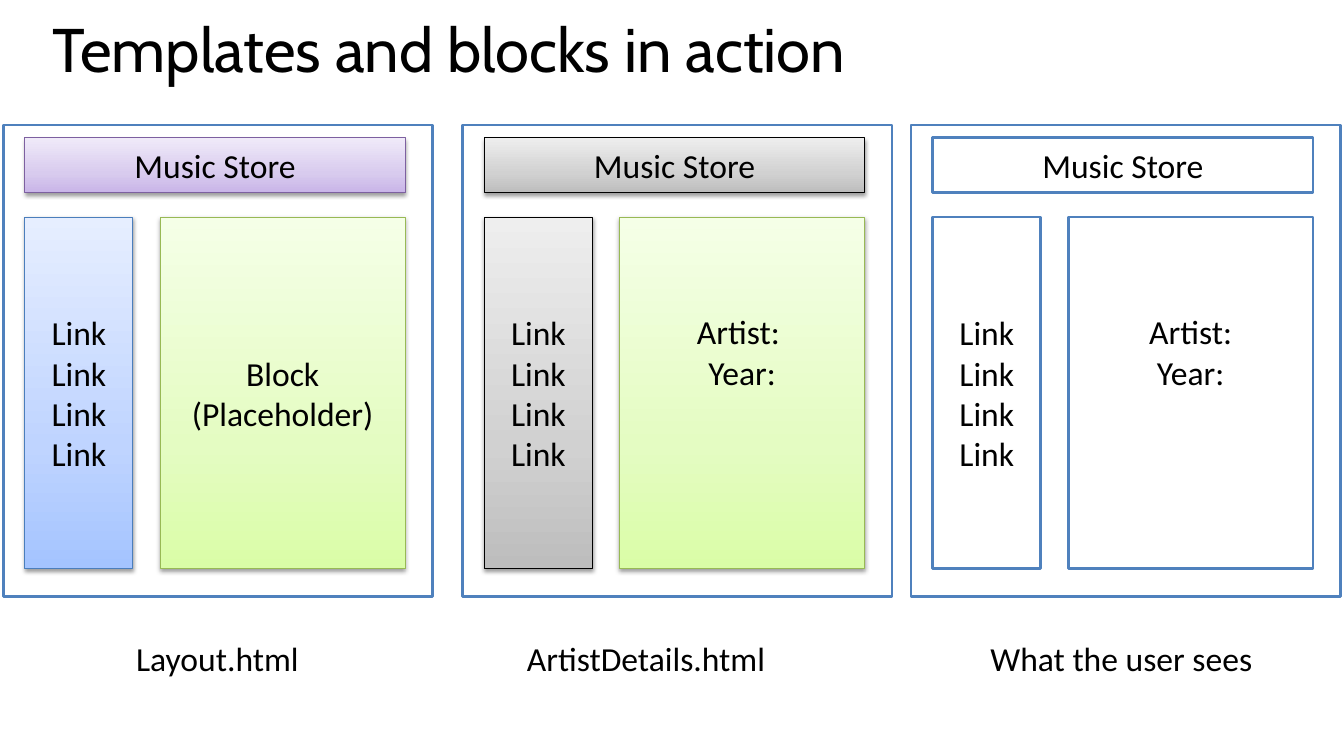
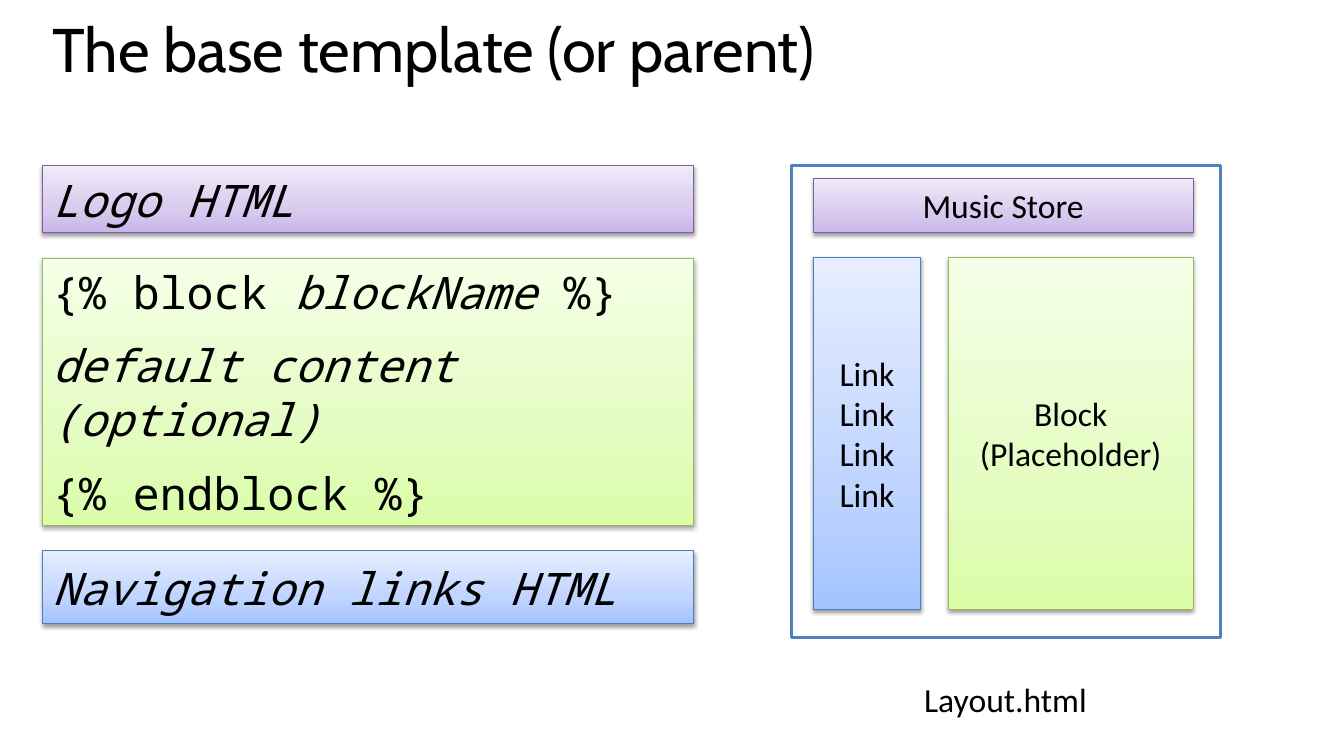
"""Build two slides about page templates and their blocks."""
import dataclasses

import lxml.etree
import pptx
import pptx.dml.color
import pptx.enum.shapes
import pptx.enum.text
import pptx.oxml.ns
import pptx.util

Cm = pptx.util.Cm
Pt = pptx.util.Pt
RGB = pptx.dml.color.RGBColor.from_string
qn = pptx.oxml.ns.qn
ALIGN = pptx.enum.text.PP_ALIGN


@dataclasses.dataclass(frozen=True)
class Look:
    """Line colour and width of a box, with its fill stops from bottom to top."""
    line: str
    width: float
    stops: tuple = ()


@dataclasses.dataclass(frozen=True)
class Theme:
    """Colours, fonts and sizes that the slides share."""
    ink: str = "000000"
    paper: str = "FFFFFF"
    title_font: str = "Cabin"
    body_font: str = "Calibri"
    code_font: str = "Noto Sans Mono"
    title_size: int = 44
    body_size: int = 24
    code_size: int = 32
    plain: Look = Look("4F81BD", 2)
    purple: Look = Look("7D60A0", 0.75, ("C9B5E8", "D8CBEE", "F0EAF9"))
    blue: Look = Look("4B7EBC", 0.75, ("A4C4FF", "BFD4FF", "E6EEFF"))
    green: Look = Look("98B955", 0.75, ("DAFDA7", "E4FCC2", "F5FFE7"))
    gray: Look = Look("000000", 0.75, ("BDBDBD", "D1D1D1", "EEEEEE"))


THEME = Theme()
GAP = 0.64
LINKS = ("Link",) * 4
PLACEHOLDER = ("Block", "(Placeholder)")
ARTIST = ("Artist:", "Year:")
TWO_LINES = 2.07
LAYOUT_CAPTION = ("Layout.html", 3.1, 4.65)


def add_color(parent, color, alpha=None):
    """Append an sRGB colour, optionally transparent, to an XML element."""
    clr = lxml.etree.SubElement(parent, qn("a:srgbClr"), val=color)
    if alpha is not None:
        lxml.etree.SubElement(clr, qn("a:alpha"), val=str(alpha * 1000))


def set_gradient(s, stops):
    """Fill a shape with a three-stop gradient that runs upwards."""
    s.fill.gradient()
    s.fill.gradient_angle = 90
    stop_list = s.element.spPr.find(".//" + qn("a:gsLst"))
    for old in list(stop_list):
        stop_list.remove(old)
    for pos, color in zip((0, 35, 100), stops):
        gs = lxml.etree.SubElement(stop_list, qn("a:gs"), pos=str(pos * 1000))
        add_color(gs, color)


def set_shadow(s):
    """Give a shape a soft shadow straight below it."""
    effects = s.element.spPr.find(qn("a:effectLst"))
    shadow = lxml.etree.SubElement(
        effects, qn("a:outerShdw"), blurRad=str(Pt(3.1)), dist=str(Pt(1.6)),
        dir="5400000", rotWithShape="0")
    add_color(shadow, THEME.ink, 38)


def style_paragraph(p, font, size, align=ALIGN.LEFT):
    """Set the font, colour and alignment of a paragraph."""
    p.font.name = font
    p.font.size = Pt(size)
    p.font.color.rgb = RGB(THEME.ink)
    p.alignment = align


def next_paragraph(tf, index):
    """Return the first paragraph of a frame, or a new one after it."""
    return tf.add_paragraph() if index else tf.paragraphs[0]


def add_box(slide, left, top, width, height, look):
    """Draw a rectangle in one of the theme's looks."""
    s = slide.shapes.add_shape(
        pptx.enum.shapes.MSO_SHAPE.RECTANGLE,
        Cm(left), Cm(top), Cm(width), Cm(height))
    s.shadow.inherit = False
    s.line.color.rgb = RGB(look.line)
    s.line.width = Pt(look.width)
    if look.stops:
        set_gradient(s, look.stops)
        set_shadow(s)
    else:
        s.fill.solid()
        s.fill.fore_color.rgb = RGB(THEME.paper)
    s.text_frame.word_wrap = True
    s.text_frame.vertical_anchor = pptx.enum.text.MSO_ANCHOR.MIDDLE
    return s


def add_label_box(slide, left, top, width, height, look, lines, lift=0):
    """Draw a box with centred lines, raised by extra room below them."""
    tf = add_box(slide, left, top, width, height, look).text_frame
    tf.margin_bottom = Cm(0.13 + lift)
    for i, line in enumerate(lines):
        p = next_paragraph(tf, i)
        p.text = line
        style_paragraph(p, THEME.body_font, THEME.body_size, ALIGN.CENTER)


def add_code_box(slide, left, top, width, height, look, lines):
    """Draw a box of code; each line is a list of (text, italic) runs."""
    tf = add_box(slide, left, top, width, height, look).text_frame
    for i, line in enumerate(lines):
        p = next_paragraph(tf, i)
        style_paragraph(p, THEME.code_font, THEME.code_size)
        p.space_before = Pt(14)
        for text, italic in line:
            r = p.add_run()
            r.text = text
            target = p if len(line) == 1 else r
            target.font.italic = italic


def add_text(slide, left, top, width, height, text, font, size):
    """Add a one-paragraph text box and return its frame."""
    tf = slide.shapes.add_textbox(
        Cm(left), Cm(top), Cm(width), Cm(height)).text_frame
    p = tf.paragraphs[0]
    p.text = text
    style_paragraph(p, font, size)
    return tf


def add_page(slide, left, top, caption, looks, content, lift=0):
    """Draw a web page with its header, links, content and caption."""
    header, nav, body = looks
    inner_left, inner_width, nav_width, gutter = left + 0.55, 9.58, 2.72, 0.69
    column_top, column_height = top + 2.32, 8.86
    body_offset = nav_width + gutter
    add_box(slide, left, top, 10.82, 11.89, THEME.plain)
    add_label_box(slide, inner_left, top + 0.32, inner_width, 1.38, header,
                  ("Music Store",))
    add_label_box(slide, inner_left, column_top, nav_width, column_height,
                  nav, LINKS)
    add_label_box(slide, inner_left + body_offset, column_top,
                  inner_width - body_offset, column_height, body, content, lift)
    text, offset, width = caption
    tf = add_text(slide, left + offset, top + 12.81, width, 1.28, text,
                  THEME.body_font, THEME.body_size)
    tf.word_wrap = False
    tf.auto_size = pptx.enum.text.MSO_AUTO_SIZE.SHAPE_TO_FIT_TEXT


def add_slide(prs, title):
    """Add a blank slide with the shared title style."""
    slide = prs.slides.add_slide(prs.slide_layouts[6])
    tf = add_text(slide, 1.07, 0.51, 32, 2.95, title,
                  THEME.title_font, THEME.title_size)
    tf.word_wrap = True
    tf.paragraphs[0].line_spacing = 0.8
    return slide


def add_action_slide(prs):
    """Show a layout, a page that fills it, and the result."""
    slide = add_slide(prs, "Templates and blocks in action")
    top = 3.15
    t = THEME
    add_page(slide, 0.08, top, LAYOUT_CAPTION,
             (t.purple, t.blue, t.green), PLACEHOLDER)
    add_page(slide, 11.66, top, ("ArtistDetails.html", 1.37, 6.58),
             (t.gray, t.gray, t.green), ("Artist: ", "Year:"), TWO_LINES)
    add_page(slide, 22.96, top, ("What the user sees", 1.75, 7.19),
             (t.plain,) * 3, ARTIST, TWO_LINES)


def add_base_slide(prs):
    """Show the code of the base template beside its page."""
    slide = add_slide(prs, "The base template (or parent)")
    top = 4.17
    t = THEME
    add_page(slide, 19.94, top, LAYOUT_CAPTION,
             (t.purple, t.blue, t.green), PLACEHOLDER)
    block = [
        [("{% block ", False), ("blockName ", True), ("%}", False)],
        [("default content (optional)", True)],
        [("{% endblock %}", False)],
    ]
    for height, look, lines in (
            (1.7, t.purple, [[("Logo HTML", True)]]),
            (6.73, t.green, block),
            (1.83, t.blue, [[("Navigation links HTML", True)]])):
        add_code_box(slide, 1.07, top, 16.41, height, look, lines)
        top += height + GAP


def main():
    """Build and save the presentation."""
    prs = pptx.Presentation()
    prs.slide_width = Cm(33.87)
    prs.slide_height = Cm(19.05)
    add_action_slide(prs)
    add_base_slide(prs)
    prs.save("out.pptx")


if __name__ == "__main__":
    main()
